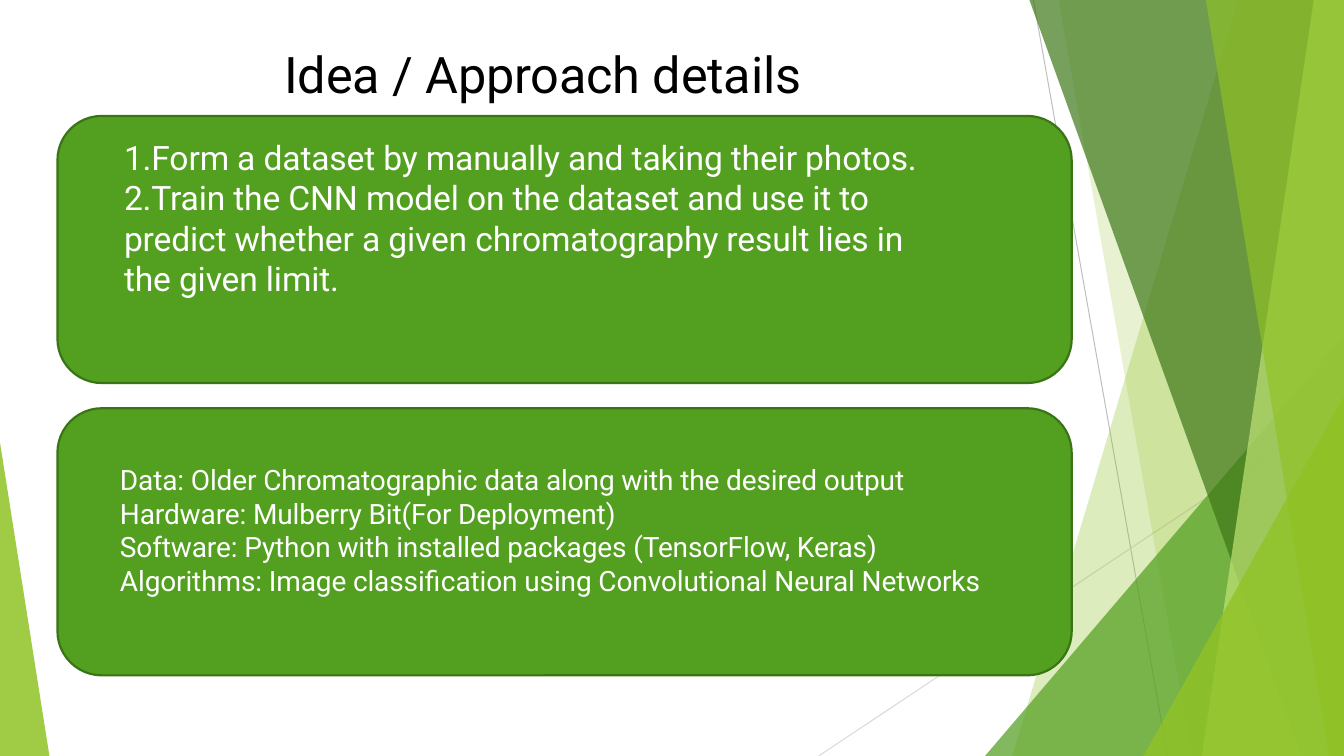
from lxml import etree
from pptx import Presentation
from pptx.dml.color import RGBColor
from pptx.enum.shapes import MSO_CONNECTOR, MSO_SHAPE
from pptx.enum.text import MSO_ANCHOR, MSO_AUTO_SIZE, PP_ALIGN
from pptx.oxml.ns import qn
from pptx.util import Inches, Pt

STRAIGHT = MSO_CONNECTOR.STRAIGHT
ROUNDED = MSO_SHAPE.ROUNDED_RECTANGLE
TOP = MSO_ANCHOR.TOP
LEFT = PP_ALIGN.LEFT
NO_AUTOFIT = MSO_AUTO_SIZE.NONE

WIDTH, HEIGHT = 13.33, 7.5
FONT = "Roboto"
LIME, GREEN, DARK_GREEN, PALE_LIME = "90C225", "539F20", "3E7818", "C0E374"
PANEL_EDGE, WHITE, BLACK = "3A7415", "FFFFFF", "000000"

# start, end, colour
THIN_LINES = [
    ((10.25, 0), (11.58, HEIGHT), "BEBEBE"),
    ((WIDTH, 4.03), (8.12, HEIGHT), "D9D9D9"),
]

# top x, bottom x, colour, opacity: bands that fill to the right edge
RIGHT_BANDS = [
    (12.28, 10.04, LIME, 30),
    (10.5, 11.82, LIME, 20),
    (None, 9.77, GREEN, 72),
    (10.21, 12.91, DARK_GREEN, 70),
    (13.03, 11.92, PALE_LIME, 70),
    (11.96, 13.18, LIME, 65),
    (None, 11.34, LIME, 80),
]
TRIANGLE_TOPS = {9.77: 3.33, 11.34: 3.93}

APPROACH = [
    "1.Form a dataset by manually and taking their photos.",
    "2.Train the CNN model on the dataset and use it to predict whether "
    "a given chromatography result lies in the given limit.",
]
RESOURCES = [
    "Data: Older Chromatographic data along with the desired output",
    "Hardware: Mulberry Bit(For Deployment)",
    "Software: Python with installed packages (TensorFlow, Keras)",
    "Algorithms: Image classification using Convolutional Neural Networks",
]


def rgb(value):
    """Turn a hex string into a colour."""
    return RGBColor.from_string(value)


def set_opacity(shape, percent):
    """Make a solid fill partly transparent."""
    colour = shape.fill._xPr.find(qn("a:solidFill"))[0]
    etree.SubElement(colour, qn("a:alpha")).set("val", str(percent * 1000))


def add_thin_line(slide, start, end, colour):
    """Draw a hairline between two points."""
    line = slide.shapes.add_connector(
        STRAIGHT, *[Inches(value) for value in start + end])
    line.line.color.rgb = rgb(colour)
    line.line.width = Pt(0.72)
    etree.SubElement(line._element.spPr, qn("a:effectLst"))


def add_facet(slide, points, colour, opacity):
    """Draw a translucent polygon."""
    corners = [(Inches(x), Inches(y)) for x, y in points]
    builder = slide.shapes.build_freeform(*corners[0])
    builder.add_line_segments(corners[1:], close=True)
    facet = builder.convert_to_shape()
    facet.shadow.inherit = False
    facet.fill.solid()
    facet.fill.fore_color.rgb = rgb(colour)
    set_opacity(facet, opacity)
    facet.line.fill.background()


def add_backdrop(slide):
    """Draw the hairlines and green facets behind the content."""
    for line in THIN_LINES:
        add_thin_line(slide, *line)
    for top_x, bottom_x, colour, opacity in RIGHT_BANDS:
        if top_x is None:
            points = [(WIDTH, TRIANGLE_TOPS[bottom_x])]
        else:
            points = [(WIDTH, 0), (top_x, 0)]
        points += [(bottom_x, HEIGHT), (WIDTH, HEIGHT)]
        add_facet(slide, points, colour, opacity)
    add_facet(slide, [(0, 4.39), (0, HEIGHT), (0.49, HEIGHT)], LIME, 85)


def add_panel(slide, top):
    """Draw a rounded green panel."""
    panel = slide.shapes.add_shape(
        ROUNDED, Inches(0.57), Inches(top), Inches(10.06), Inches(2.65))
    panel.adjustments[0] = 0.166
    panel.shadow.inherit = False
    panel.fill.solid()
    panel.fill.fore_color.rgb = rgb(GREEN)
    panel.line.color.rgb = rgb(PANEL_EDGE)
    panel.line.width = Pt(1.56)


def write_text(shape, box, lines, size, colour):
    """Place a text shape and fill it with one paragraph per line."""
    shape.left, shape.top, shape.width, shape.height = map(Inches, box)
    frame = shape.text_frame
    frame.text = "\n".join(lines)
    frame.word_wrap = True
    frame.auto_size = NO_AUTOFIT
    frame.vertical_anchor = TOP
    frame.margin_left = frame.margin_right = frame.margin_bottom = 0
    frame.margin_top = Inches(0.01)
    frame.paragraphs[0].space_before = Pt(1)
    for paragraph in frame.paragraphs:
        paragraph.alignment = LEFT
        paragraph._p.get_or_add_pPr().set("marL", str(Inches(0.01)))
        for run in paragraph.runs:
            run.font.name = FONT
            run.font.size = Pt(size)
            run.font.color.rgb = rgb(colour)
            run._r.get_or_add_rPr().set("spc", "-10")


def add_text(slide, box, lines, size):
    """Add a white text box."""
    text_box = slide.shapes.add_textbox(*map(Inches, box))
    write_text(text_box, box, lines, size, WHITE)


def main():
    """Build the slide and save it."""
    presentation = Presentation()
    presentation.slide_width = Inches(WIDTH)
    presentation.slide_height = Inches(HEIGHT)
    slide = presentation.slides.add_slide(presentation.slide_layouts[5])
    add_backdrop(slide)
    write_text(slide.shapes.title, (2.81, 0.42, 5.27, 0.63),
               ["Idea / Approach details"], 36, BLACK)
    for top in (1.15, 4.05):
        add_panel(slide, top)
    add_text(slide, (1.22, 1.35, 8.18, 1.63), APPROACH, 24)
    add_text(slide, (1.18, 4.58, 8.63, 1.36), RESOURCES, 20)
    presentation.save("out.pptx")


if __name__ == "__main__":
    main()
